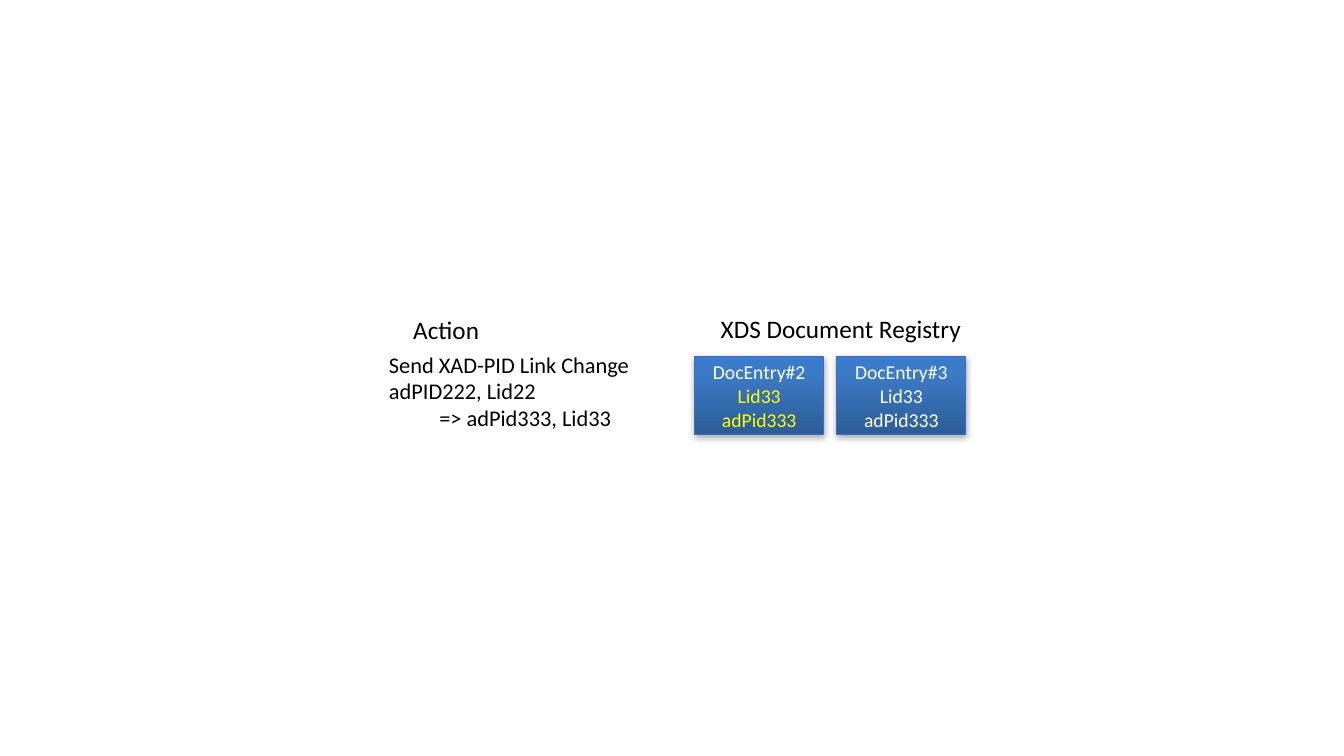
from lxml import etree
from pptx import Presentation
from pptx import util as u
from pptx.dml.color import RGBColor
from pptx.enum import shapes, text
from pptx.oxml import ns

BLACK, WHITE, YELLOW = "000000", "FFFFFF", "FFFF00"
ENTRY_STOPS = [(0, "2C5D98"), (80, "3C7BC7"), (100, "3A7CCB")]


def rgb(hex_color):
    """Turn a hex string into a colour."""
    return RGBColor.from_string(hex_color)


def add_element(parent, tag, **attrs):
    """Append a DrawingML element with the given attributes."""
    child = etree.SubElement(parent, ns.qn(tag))
    for name, value in attrs.items():
        child.set(name, str(value))
    return child


def add_run(p, words, size, color):
    """Add one Calibri run to a paragraph."""
    r = p.add_run()
    r.text = words
    r.font.name = "Calibri"
    r.font.size = u.Pt(size)
    r.font.color.rgb = rgb(color)


def add_text(s, box, lines, size, wrap=True):
    """Place a text box with one paragraph per (words, first-line indent) pair."""
    tf = s.shapes.add_textbox(*map(u.Inches, box)).text_frame
    tf.word_wrap = wrap
    for i, (words, indent) in enumerate(lines):
        p = tf.paragraphs[0] if i == 0 else tf.add_paragraph()
        if indent:
            pPr = p._p.get_or_add_pPr()
            pPr.set("marL", "0")
            pPr.set("indent", str(u.Inches(indent)))
        add_run(p, words, size, BLACK)


def add_entry(s, box, lines):
    """Draw one document entry with a gradient, a shadow and coloured lines."""
    sp = s.shapes.add_shape(shapes.MSO_SHAPE.RECTANGLE, *map(u.Inches, box))
    sp.fill.gradient()
    sp.fill.gradient_angle = 90
    stops = sp._element.spPr.find(".//" + ns.qn("a:gsLst"))
    for stop in list(stops):
        stops.remove(stop)
    for share, color in ENTRY_STOPS:
        stop = add_element(stops, "a:gs", pos=share * 1000)
        add_element(stop, "a:srgbClr", val=color)
    sp.line.color.rgb = rgb("3C6BBF")
    sp.line.width = u.Pt(0.75)
    sp.shadow.inherit = False
    effects = sp._element.spPr.find(ns.qn("a:effectLst"))
    shadow = add_element(effects, "a:outerShdw", blurRad=u.Pt(5), dist=u.Pt(1.8),
                         dir=5400000, rotWithShape=0)
    shade = add_element(shadow, "a:srgbClr", val=BLACK)
    add_element(shade, "a:alpha", val=35000)
    tf = sp.text_frame
    tf.word_wrap = True
    tf.vertical_anchor = text.MSO_ANCHOR.MIDDLE
    for i, (words, color) in enumerate(lines):
        p = tf.paragraphs[0] if i == 0 else tf.add_paragraph()
        p.alignment = text.PP_ALIGN.CENTER
        add_run(p, words, 14, color)


def add_action(s, left, top):
    """Place the action heading and the message that is sent."""
    add_text(s, (left + 0.24, top, 0.85, 0.4), [("Action", 0)], 18, wrap=False)
    message = [("Send XAD-PID Link Change adPID222, Lid22", 0),
               ("=> adPid333, Lid33", 0.5)]
    add_text(s, (left, top + 0.36, 3.06, 0.97), message, 16)


def add_registry(s, left, top):
    """Place the registry heading and its row of document entries."""
    add_text(s, (left + 0.16, top, 2.58, 0.4), [("XDS Document Registry", 0)], 18,
             wrap=False)
    for column, (number, color) in enumerate([(2, YELLOW), (3, WHITE)]):
        lines = [(f"DocEntry#{number}", WHITE), ("Lid33", color), ("adPid333", color)]
        add_entry(s, (left + column * 1.41, top + 0.48, 1.28, 0.77), lines)


def main():
    """Build the slide and save it."""
    prs = Presentation()
    prs.slide_width, prs.slide_height = u.Inches(13.33), u.Inches(7.5)
    s = prs.slides.add_slide(prs.slide_layouts[6])
    add_action(s, 3.76, 3.07)
    add_registry(s, 6.89, 3.06)
    prs.save("out.pptx")


if __name__ == "__main__":
    main()
